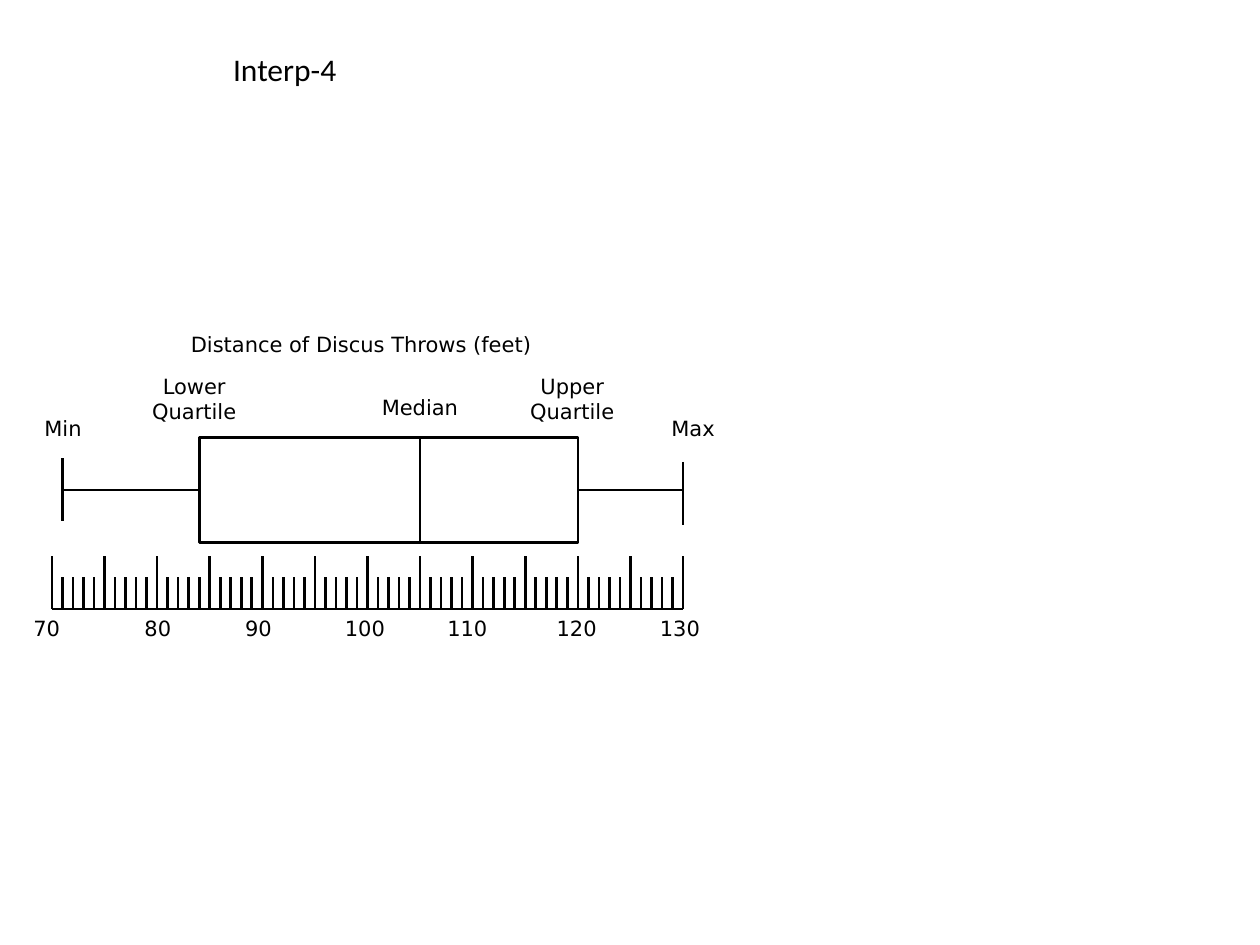
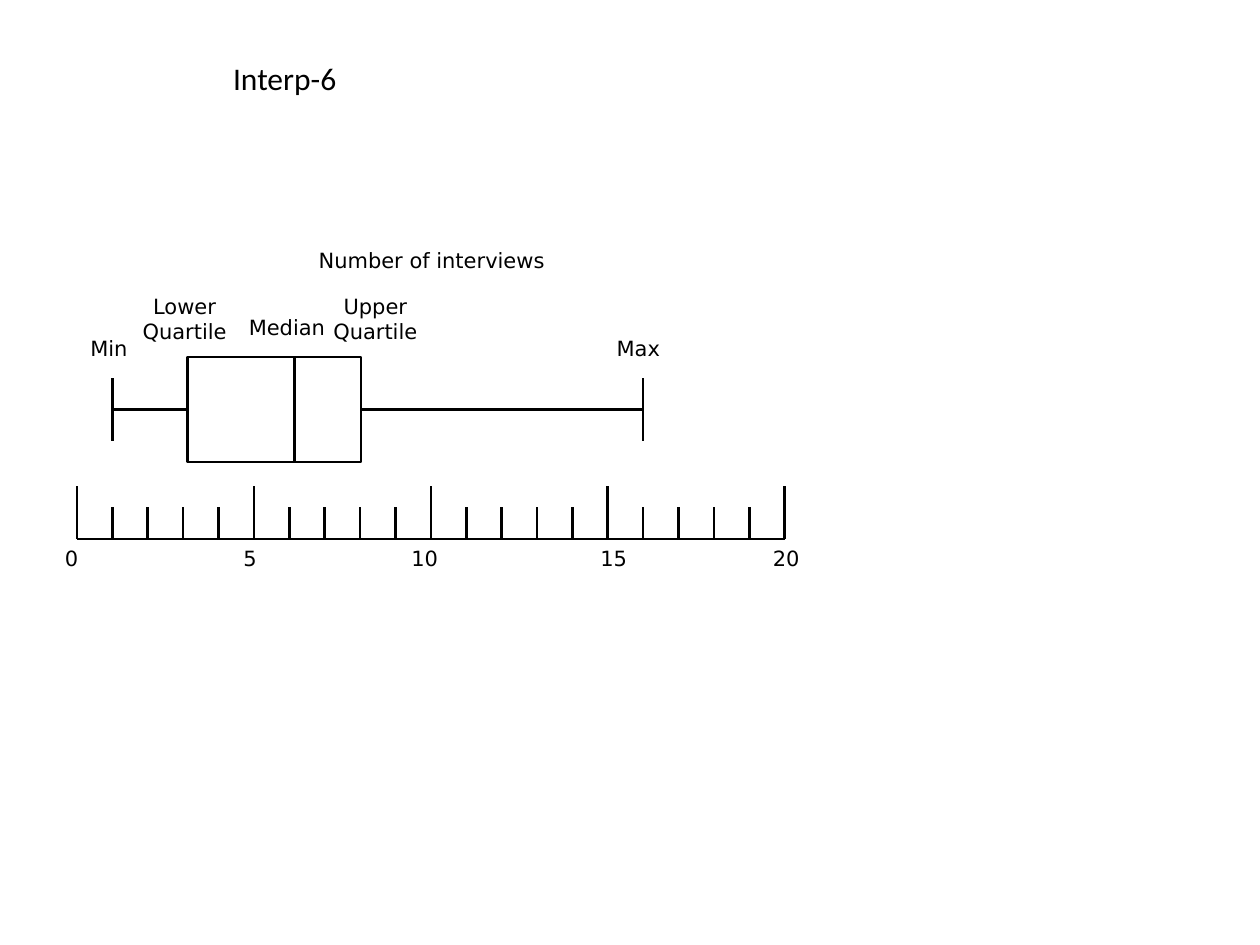
from lxml import etree
from pptx import Presentation
from pptx.dml.color import RGBColor
from pptx.enum import shapes, text
from pptx.util import Pt

TITLE_ONLY = 5
LEFT, CENTER = text.PP_ALIGN.LEFT, text.PP_ALIGN.CENTER
EFFECT_LIST = "{http://schemas.openxmlformats.org/drawingml/2006/main}effectLst"


def color(hex_string):
    return RGBColor.from_string(hex_string)


class PlotSlides:
    """Holds the shared style and draws on the current slide."""
    ink, paper = "000000", "FFFFFF"
    line_width = 1.5
    title_font = {"name": "Calibri", "size": Pt(18), "bold": False}
    label_font = {"name": "DejaVu Sans", "size": Pt(12)}
    box_height, cap_height = 60, 36
    long_tick, short_tick = 30, 18

    def __init__(self):
        self.deck = Presentation()
        self.deck.slide_width, self.deck.slide_height = Pt(720), Pt(540)

    def start(self, title, top):
        self.slide = self.deck.slides.add_slide(self.deck.slide_layouts[TITLE_ONLY])
        heading = self.slide.shapes.title
        heading.left, heading.top, heading.width, heading.height = map(Pt, (126, top, 108, 29))
        self.set_text(heading, title, self.title_font, LEFT)

    def set_text(self, holder, words, font, align):
        frame = holder.text_frame
        frame.text = words
        for key, value in {"word_wrap": True, "vertical_anchor": text.MSO_ANCHOR.TOP,
                           "auto_size": text.MSO_AUTO_SIZE.SHAPE_TO_FIT_TEXT}.items():
            setattr(frame, key, value)
        paragraph = frame.paragraphs[0]
        paragraph.alignment = align
        run_font = paragraph.runs[0].font
        for key, value in font.items():
            setattr(run_font, key, value)
        run_font.color.rgb = color(self.ink)

    def label(self, words, left, top, width, height=22, align=LEFT):
        holder = self.slide.shapes.add_textbox(*map(Pt, (left, top, width, height)))
        self.set_text(holder, words, self.label_font, align)

    def outline(self, item):
        item.line.color.rgb = color(self.ink)
        item.line.width = Pt(self.line_width)

    def line(self, x1, y1, x2, y2):
        connector = self.slide.shapes.add_connector(
            shapes.MSO_CONNECTOR.STRAIGHT, *map(Pt, (x1, y1, x2, y2)))
        self.outline(connector)
        etree.SubElement(connector._element.spPr, EFFECT_LIST)

    def rectangle(self, left, top, width, height):
        box = self.slide.shapes.add_shape(
            shapes.MSO_SHAPE.RECTANGLE, *map(Pt, (left, top, width, height)))
        box.shadow.inherit = False
        box.fill.solid()
        box.fill.fore_color.rgb = color(self.paper)
        self.outline(box)

    def box_plot(self, position, summary, top, cap_tops):
        """Draw min, lower quartile, median, upper quartile and max on the scale."""
        low, lower, median, upper, high = map(position, summary)
        middle, bottom = top + self.box_height / 2, top + self.box_height
        for end, cap_top in zip((low, high), cap_tops):
            self.line(end, cap_top, end, cap_top + self.cap_height)
        self.line(low, middle, high, middle)
        self.rectangle(lower, top, upper - lower, self.box_height)
        self.line(median, top, median, bottom)

    def number_line(self, position, first, last, baseline, numbers):
        """Tick every unit, longer at each fifth; numbers are (value, left, width)."""
        self.line(position(first), baseline, position(last), baseline)
        for value in range(first, last + 1):
            length = self.short_tick if value % 5 else self.long_tick
            self.line(position(value), baseline, position(value), baseline - length)
        for value, left, width in numbers:
            self.label(str(value), left, baseline, width)


def make_scale(first, left, step):
    return lambda value: left + (value - first) * step


def throws(deck):
    deck.start("Interp-4", 25)
    feet = make_scale(70, 29.7, 6.01)
    deck.box_plot(feet, (71, 84, 105, 120, 130), 250, (262, 264))
    deck.label("Distance of Discus Throws (feet)", 102, 186, 216)
    for words, left, top, width, height in (
            ("Min", 6, 234, 60, 22), ("Lower Quartile", 78, 210, 66, 36),
            ("Median", 204, 222, 72, 22), ("Upper Quartile", 294, 210, 66, 36),
            ("Max", 366, 234, 60, 22)):
        deck.label(words, left, top, width, height, CENTER)
    deck.number_line(feet, 70, 130, 348, (
        (70, 12, 36), (80, 75.5, 31), (90, 133, 33), (100, 190, 40),
        (110, 248.5, 42), (120, 311, 38), (130, 370, 38)))


def interviews(deck):
    deck.start("Interp-6", 30)
    count = make_scale(0, 44, 20.22)
    deck.box_plot(count, (1, 3.13, 6.15, 8.03, 16), 204, (216, 216))
    deck.label("Number of interviews", 175, 138, 149)
    for words, left, top, width, height in (
            ("Min", 41, 188, 42.5, 22), ("Lower Quartile", 72, 164, 67, 36),
            ("Median", 132, 176, 64, 22), ("Upper Quartile", 180, 164, 69, 36),
            ("Max", 343.5, 188, 42.5, 22)):
        deck.label(words, left, top, width, height, CENTER)
    deck.number_line(count, 0, 20, 308, (
        (0, 30, 24), (5, 132, 24), (10, 228, 35), (15, 336, 36), (20, 434.5, 34)))


def main():
    plots = PlotSlides()
    throws(plots)
    interviews(plots)
    plots.deck.save("out.pptx")


if __name__ == "__main__":
    main()
